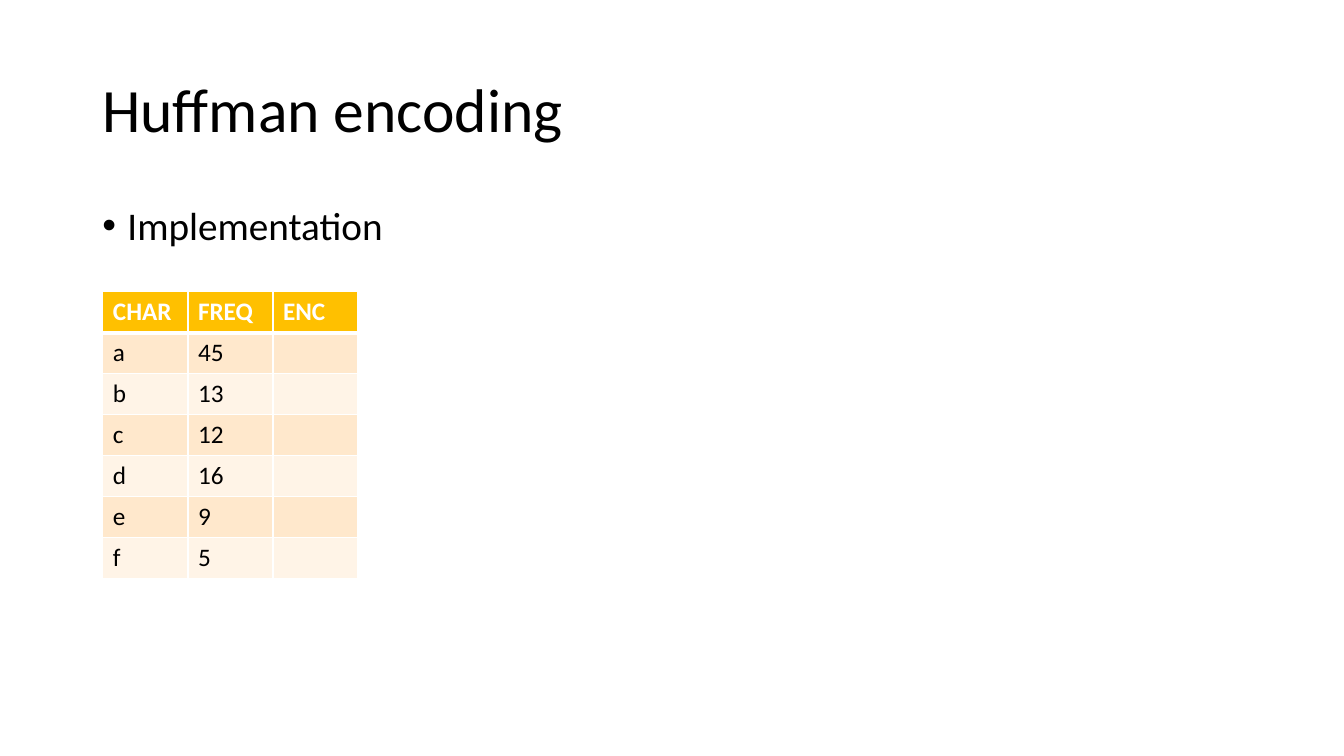
from lxml.etree import SubElement
from pptx import Presentation
from pptx.dml.color import RGBColor
from pptx.enum.text import MSO_ANCHOR as Anchor
from pptx.oxml.ns import qn
from pptx.util import Emu, Pt

PX = 9525
BLACK, WHITE, GOLD = "000000", "FFFFFF", "FFC000"
BANDS = ["FFE8CC", "FFF4E7"]
FREQUENCIES = [
    ("CHAR", "FREQ", "ENC"),
    ("a", "45", ""),
    ("b", "13", ""),
    ("c", "12", ""),
    ("d", "16", ""),
    ("e", "9", ""),
    ("f", "5", ""),
]


def px(length):
    """Turn pixels into EMU."""
    return Emu(length * PX)


def color(hex_code):
    """Turn a hex string into a colour."""
    return RGBColor.from_string(hex_code)


def set_font(paragraph, size, hex_code=BLACK, bold=False):
    """Set the font of a whole paragraph."""
    font = paragraph.font
    font.name, font.size, font.bold = "Calibri", Pt(size), bold
    font.color.rgb = color(hex_code)


def add_text(slide, box, text, size, anchor, bullet=False):
    """Place one line of text in a box, with a bullet if asked."""
    frame = slide.shapes.add_textbox(*map(px, box)).text_frame
    frame.word_wrap = True
    frame.vertical_anchor = anchor
    paragraph = frame.paragraphs[0]
    paragraph.text = text
    paragraph.line_spacing = 0.9
    if bullet:
        props = paragraph._p.get_or_add_pPr()
        props.set("marL", str(px(24)))
        props.set("indent", str(px(-24)))
        SubElement(props, qn("a:buFont"), typeface="Arial")
        SubElement(props, qn("a:buChar"), char="•")
    set_font(paragraph, size)


def add_borders(cell, bottom, top):
    """Draw white borders round a cell, with widths in points."""
    props = cell._tc.get_or_add_tcPr()
    for side, width in (("L", 1), ("R", 1), ("T", top), ("B", bottom)):
        line = SubElement(props, qn(f"a:ln{side}"), w=str(Pt(width)))
        fill = SubElement(line, qn("a:solidFill"))
        SubElement(fill, qn("a:srgbClr"), val=WHITE)


def add_frequency_table(slide, box, rows):
    """Place a banded table with a gold heading row in a box."""
    table = slide.shapes.add_table(len(rows), len(rows[0]), *map(px, box)).table
    for row, values in enumerate(rows):
        heading = row == 0
        for column, value in enumerate(values):
            cell = table.cell(row, column)
            cell.text = value
            add_borders(cell, bottom=3 if heading else 1, top=3 if row == 1 else 1)
            cell.fill.solid()
            cell.fill.fore_color.rgb = color(GOLD if heading else BANDS[(row - 1) % 2])
            set_font(cell.text_frame.paragraphs[0], 18, WHITE if heading else BLACK, heading)


def main():
    """Build and save the slide."""
    deck = Presentation()
    deck.slide_width, deck.slide_height = px(1280), px(720)
    slide = deck.slides.add_slide(deck.slide_layouts[6])
    add_text(slide, (88, 38, 1104, 139), "Huffman encoding", 44, Anchor.MIDDLE)
    add_text(slide, (88, 192, 1104, 457), "Implementation", 28, Anchor.TOP, bullet=True)
    add_frequency_table(slide, (98, 278, 243, 273), FREQUENCIES)
    deck.save("out.pptx")


if __name__ == "__main__":
    main()
